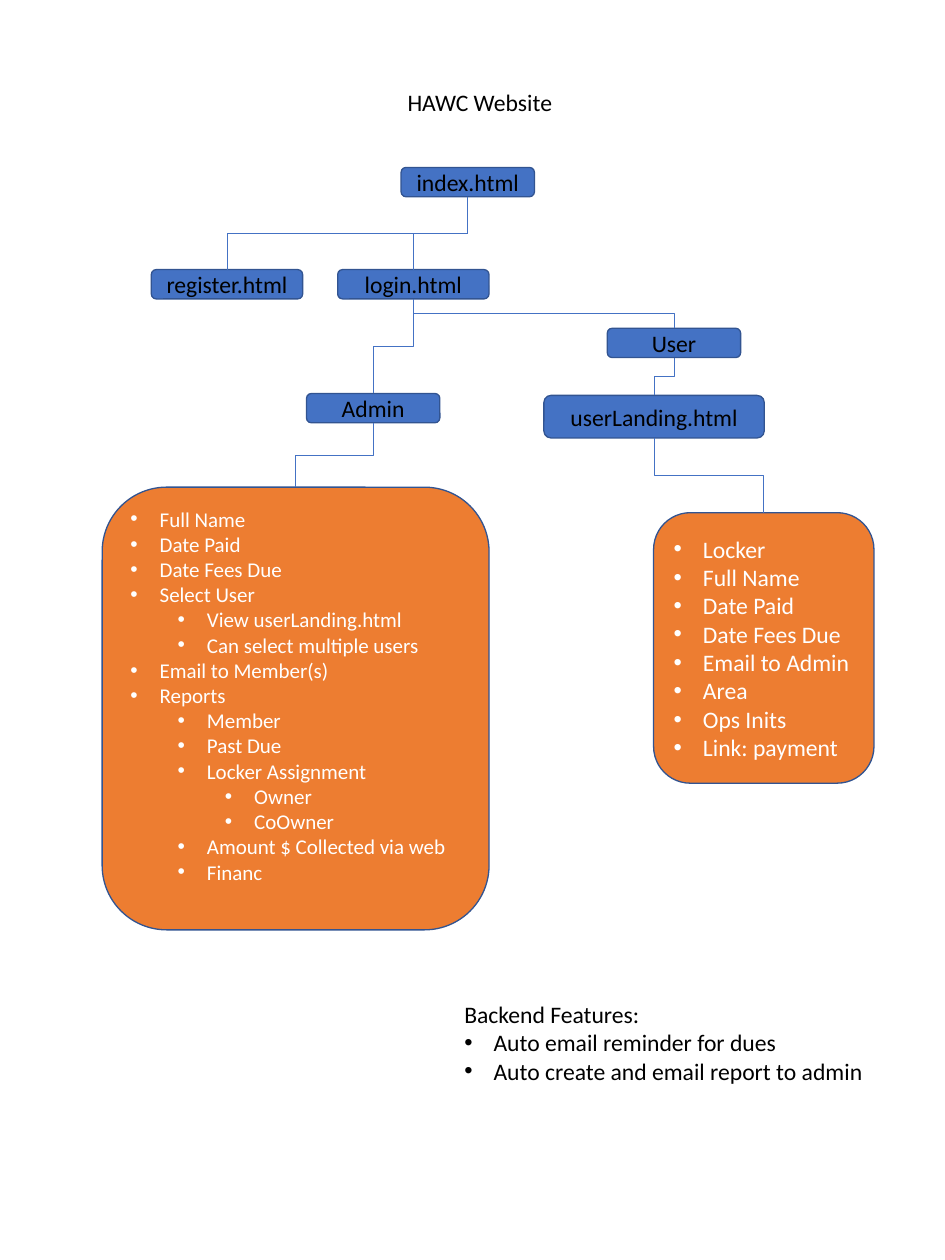
from lxml import etree
from pptx import Presentation
from pptx.dml.color import RGBColor
from pptx.enum.shapes import MSO_CONNECTOR, MSO_SHAPE
from pptx.enum.text import MSO_ANCHOR, PP_ALIGN
from pptx.oxml.ns import qn
from pptx.util import Inches, Pt

BLUE = RGBColor(0x44, 0x72, 0xC4)
DARK_BLUE = RGBColor(0x32, 0x54, 0x91)
ORANGE = RGBColor(0xED, 0x7D, 0x31)
BLACK = RGBColor(0, 0, 0)
WHITE = RGBColor(0xFF, 0xFF, 0xFF)
BOTTOM_SITE, TOP_SITE = 2, 0

# Page name: left, top, width, height
PAGES = {
    "index.html": (4.24, 1.77, 1.41, 0.31),
    "register.html": (1.6, 2.85, 1.6, 0.31),
    "login.html": (3.57, 2.85, 1.6, 0.31),
    "User": (6.42, 3.47, 1.41, 0.31),
    "Admin": (3.24, 4.16, 1.41, 0.31),
    "userLanding.html": (5.75, 4.18, 2.33, 0.45),
}
LINKS = [
    ("index.html", "register.html"),
    ("index.html", "login.html"),
    ("login.html", "Admin"),
    ("login.html", "User"),
    ("User", "userLanding.html"),
    ("userLanding.html", "user features"),
    ("Admin", "admin features"),
]

# Each list entry: bullet level (None for no bullet), text
USER_FEATURES = [(0, text) for text in (
    "Locker", "Full Name", "Date Paid", "Date Fees Due",
    "Email to Admin", "Area", "Ops Inits", "Link: payment")]
ADMIN_FEATURES = [
    (0, "Full Name"),
    (0, "Date Paid"),
    (0, "Date Fees Due"),
    (0, "Select User"),
    (1, "View userLanding.html"),
    (1, "Can select multiple users"),
    (0, "Email to Member(s)"),
    (0, "Reports"),
    (1, "Member"),
    (1, "Past Due"),
    (1, "Locker Assignment"),
    (2, "Owner"),
    (2, "CoOwner"),
    (1, "Amount $ Collected via web"),
    (1, "Financ"),
]
BACKEND_FEATURES = [
    (None, "Backend Features:"),
    (0, "Auto email reminder for dues"),
    (0, "Auto create and email report to admin"),
]


def set_attributes(target, values):
    """Set each named value on the target object."""
    for name, value in values.items():
        setattr(target, name, value)


def add_bullet(paragraph, level):
    """Give a paragraph a hanging bullet at its level."""
    paragraph.level = level
    properties = paragraph._p.get_or_add_pPr()
    properties.set("marL", str(Inches(0.31 + 0.5 * level)))
    properties.set("indent", str(Inches(-0.31)))
    etree.SubElement(properties, qn("a:buFont")).set("typeface", "Arial")
    etree.SubElement(properties, qn("a:buChar")).set("char", "•")


def write_lines(text_frame, lines, size, color, alignment=PP_ALIGN.LEFT):
    """Write one paragraph for each (level, text) line."""
    for index, (level, text) in enumerate(lines):
        paragraph = text_frame.paragraphs[0] if index == 0 else text_frame.add_paragraph()
        paragraph.alignment = alignment
        if level is not None:
            add_bullet(paragraph, level)
        run = paragraph.add_run()
        run.text = text
        set_attributes(run.font, {"name": "Calibri", "size": Pt(size)})
        run.font.color.rgb = color


def add_rounded_box(slide, box, fill):
    """Add an outlined rounded rectangle in the given box."""
    shape = slide.shapes.add_shape(
        MSO_SHAPE.ROUNDED_RECTANGLE, *(Inches(length) for length in box))
    shape.shadow.inherit = False
    shape.fill.solid()
    shape.fill.fore_color.rgb = fill
    shape.line.color.rgb = DARK_BLUE
    shape.line.width = Pt(1)
    set_attributes(shape.text_frame, {
        "word_wrap": True, "vertical_anchor": MSO_ANCHOR.MIDDLE})
    return shape


def add_page(slide, box, name):
    """Add a blue page box with its centred name."""
    shape = add_rounded_box(slide, box, BLUE)
    write_lines(shape.text_frame, [(None, name)], 18, BLACK, PP_ALIGN.CENTER)
    return shape


def add_feature_list(slide, box, lines, size, frame_format):
    """Add an orange box with a bulleted feature list."""
    shape = add_rounded_box(slide, box, ORANGE)
    set_attributes(shape.text_frame, frame_format)
    write_lines(shape.text_frame, lines, size, WHITE)
    return shape


def add_link(slide, parent, child):
    """Join parent bottom to child top with a vertical-first elbow."""
    begin_x, begin_y = parent.left + parent.width // 2, parent.top + parent.height
    end_x, end_y = child.left + child.width // 2, child.top
    connector = slide.shapes.add_connector(
        MSO_CONNECTOR.ELBOW, begin_x, begin_y, end_x, end_y)
    connector.begin_connect(parent, BOTTOM_SITE)
    connector.end_connect(child, TOP_SITE)
    # The frame lies on its side and is turned a quarter about its centre.
    drop, shift = end_y - begin_y, abs(end_x - begin_x)
    set_attributes(connector, {
        "left": (begin_x + end_x - drop) // 2,
        "top": (begin_y + end_y - shift) // 2,
        "width": drop,
        "height": shift,
    })
    goes_right = end_x > begin_x
    transform = connector._element.spPr.find(qn("a:xfrm"))
    transform.set("rot", str((270 if goes_right else 90) * 60000))
    transform.set("flipH", "1" if goes_right else "0")
    transform.set("flipV", "0")
    connector.line.color.rgb = BLUE
    connector.line.width = Pt(0.5)
    etree.SubElement(connector._element.spPr, qn("a:effectLst"))


def add_text(slide, box, lines):
    """Add a plain black text box."""
    shape = slide.shapes.add_textbox(*(Inches(length) for length in box))
    shape.text_frame.word_wrap = False
    write_lines(shape.text_frame, lines, 18, BLACK)


def build_site_map(slide):
    """Place the pages, feature lists, links and notes of the site map."""
    boxes = {name: add_page(slide, box, name) for name, box in PAGES.items()}
    boxes["user features"] = add_feature_list(
        slide, (6.91, 5.42, 2.33, 2.86), USER_FEATURES, 18, {})
    boxes["admin features"] = add_feature_list(
        slide, (1.08, 5.15, 4.09, 4.68), ADMIN_FEATURES, 16,
        {"vertical_anchor": MSO_ANCHOR.TOP, "margin_top": Inches(0)})
    for parent, child in LINKS:
        add_link(slide, boxes[parent], boxes[child])
    add_text(slide, (4.81, 10.52, 4.47, 1.01), BACKEND_FEATURES)
    add_text(slide, (4.21, 0.88, 1.81, 0.4), [(None, "HAWC Website")])


presentation = Presentation()
set_attributes(presentation, {
    "slide_width": Inches(9.99), "slide_height": Inches(13.32)})
build_site_map(presentation.slides.add_slide(presentation.slide_layouts[6]))
presentation.save("out.pptx")
